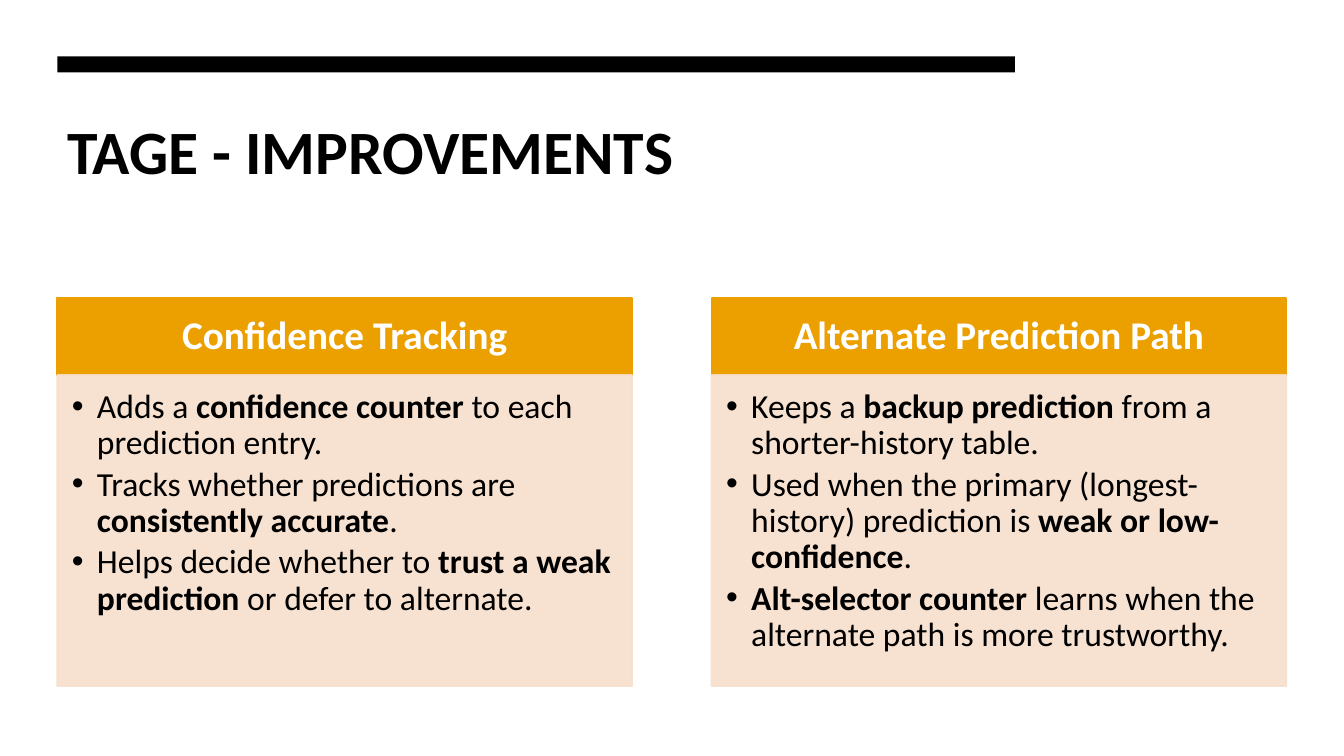
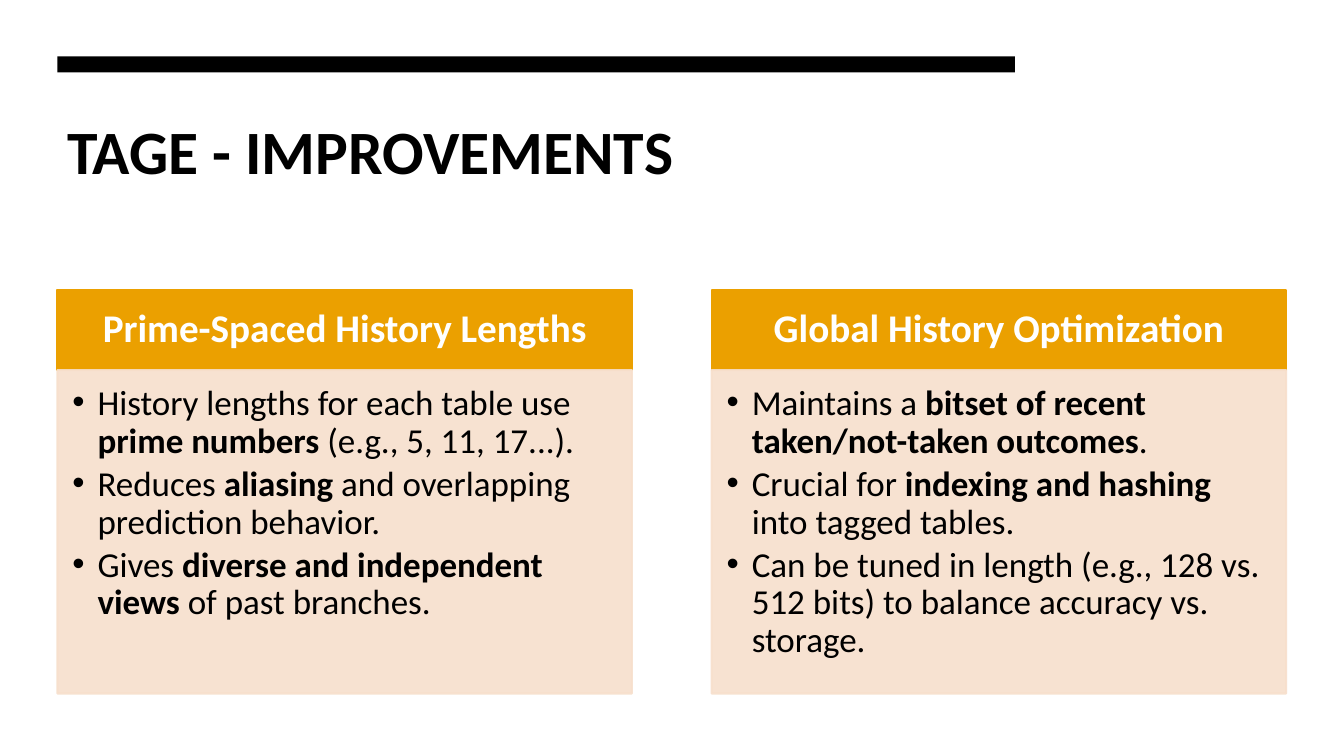
from dataclasses import dataclass

from pptx import Presentation
from pptx.dml.color import RGBColor
from pptx.enum import shapes, text
from pptx.oxml import ns, xmlchemy
from pptx.util import Pt

FONT = "Calibri"
COLORS = {"ink": "000000", "white": "FFFFFF", "gold": "EBA000", "peach": "F7DFCC"}
LEFT = 41
TITLE_WIDTH = 684
CARD_WIDTH, CARD_STEP = 410.4, 467.3
BULLET_INDENT = 18


@dataclass
class Card:
    heading: str
    points: list[str]  # **marks** bold words


@dataclass
class CardSlide:
    title: str
    top: float
    heading_height: float
    body_height: float
    body_size: float
    cards: list[Card]


SLIDES = [
    CardSlide("TAGE - IMPROVEMENTS", 213, 55, 222, 24, [
        Card("Confidence Tracking", [
            "Adds a **confidence counter** to each prediction entry.",
            "Tracks whether predictions are **consistently accurate**.",
            "Helps decide whether to **trust a weak prediction** or defer to alternate.",
        ]),
        Card("Alternate Prediction Path", [
            "Keeps a **backup prediction** from a shorter-history table.",
            "Used when the primary (longest-history) prediction is **weak or low-confidence**.",
            "**Alt-selector counter** learns when the alternate path is more trustworthy.",
        ]),
    ]),
    CardSlide("TAGE - IMPROVEMENTS", 207.4, 57, 231, 25, [
        Card("Prime-Spaced History Lengths", [
            "History lengths for each table use **prime numbers** (e.g., 5, 11, 17...).",
            "Reduces **aliasing** and overlapping prediction behavior.",
            "Gives **diverse and independent views** of past branches.",
        ]),
        Card("Global History Optimization", [
            "Maintains a **bitset of recent taken/not-taken outcomes**.",
            "Crucial for **indexing and hashing** into tagged tables.",
            "Can be tuned in length (e.g., 128 vs. 512 bits) to balance accuracy vs. storage.",
        ]),
    ]),
]


def rgb(name: str) -> RGBColor:
    return RGBColor.from_string(COLORS[name])


def set_frame(tf, anchor, insets: tuple[float, float, float, float]) -> None:
    """Set wrapping, anchor and the left, top, right and bottom insets."""
    sides = ("margin_left", "margin_top", "margin_right", "margin_bottom")
    values = {"word_wrap": True, "vertical_anchor": anchor,
              **{side: Pt(inset) for side, inset in zip(sides, insets)}}
    for name, value in values.items():
        setattr(tf, name, value)


def add_runs(p, marked: str, size: float, color: str, bold: bool = False) -> None:
    """Add runs, with the words between ** marks in bold."""
    for i, part in enumerate(marked.split("**")):
        if not part:
            continue
        r = p.add_run()
        r.text = part
        style = {"name": FONT, "size": Pt(size), "bold": bold or i % 2 == 1}
        for name, value in style.items():
            setattr(r.font, name, value)
        r.font.color.rgb = rgb(color)


def add_bullet(p) -> None:
    pPr = p._p.get_or_add_pPr()
    pPr.set("marL", str(Pt(BULLET_INDENT)))
    pPr.set("indent", str(-Pt(BULLET_INDENT)))
    for tag, attribute, value in (("a:buFont", "typeface", "Arial"), ("a:buChar", "char", "•")):
        bullet = xmlchemy.OxmlElement(tag)
        bullet.set(attribute, value)
        pPr.append(bullet)


def add_rect(s, x: float, y: float, w: float, h: float, color: str, line: float = 0):
    sp = s.shapes.add_shape(shapes.MSO_SHAPE.RECTANGLE, Pt(x), Pt(y), Pt(w), Pt(h))
    sp.shadow.inherit = False
    sp.fill.solid()
    sp.fill.fore_color.rgb = rgb(color)
    if line:
        sp.line.color.rgb = rgb(color)
        sp.line.width = Pt(line)
    else:
        sp.line.fill.background()
    return sp


def set_opacity(sp, percent: int) -> None:
    for color in sp._element.spPr.iter(ns.qn("a:srgbClr")):
        alpha = xmlchemy.OxmlElement("a:alpha")
        alpha.set("val", str(percent * 1000))
        color.append(alpha)


def add_title(s, title: str) -> None:
    add_rect(s, LEFT, 40.3, TITLE_WIDTH, 11.5, "ink")
    sp = s.shapes.add_textbox(Pt(LEFT), Pt(77), Pt(TITLE_WIDTH), Pt(115))
    set_frame(sp.text_frame, text.MSO_ANCHOR.TOP, (7.2, 3.6, 7.2, 3.6))
    add_runs(sp.text_frame.paragraphs[0], title, 44, "ink", bold=True)


def add_card(s, x: float, layout: CardSlide, card: Card) -> None:
    sp = add_rect(s, x, layout.top, CARD_WIDTH, layout.heading_height, "gold", 1.5)
    set_frame(sp.text_frame, text.MSO_ANCHOR.MIDDLE, (16, 9, 16, 9))
    p = sp.text_frame.paragraphs[0]
    p.alignment = text.PP_ALIGN.CENTER
    p.line_spacing = 0.9
    add_runs(p, card.heading, 28, "white", bold=True)

    size = layout.body_size
    sp = add_rect(s, x, layout.top + layout.heading_height, CARD_WIDTH,
                  layout.body_height, "peach", 1.5)
    set_opacity(sp, 90)
    tf = sp.text_frame
    set_frame(tf, text.MSO_ANCHOR.TOP, (size * 0.43, size * 0.43, size * 0.57, size * 0.64))
    for i, point in enumerate(card.points):
        p = tf.add_paragraph() if i else tf.paragraphs[0]
        add_bullet(p)
        paragraph_format = {"alignment": text.PP_ALIGN.LEFT, "line_spacing": 0.9,
                            "space_after": Pt(size * 0.15)}
        for name, value in paragraph_format.items():
            setattr(p, name, value)
        add_runs(p, point, size, "ink")


def main() -> None:
    prs = Presentation()
    prs.slide_width, prs.slide_height = Pt(960), Pt(540)
    for layout in SLIDES:
        s = prs.slides.add_slide(prs.slide_layouts[6])
        add_title(s, layout.title)
        for i, card in enumerate(layout.cards):
            add_card(s, LEFT + i * CARD_STEP, layout, card)
    prs.save("out.pptx")


if __name__ == "__main__":
    main()
